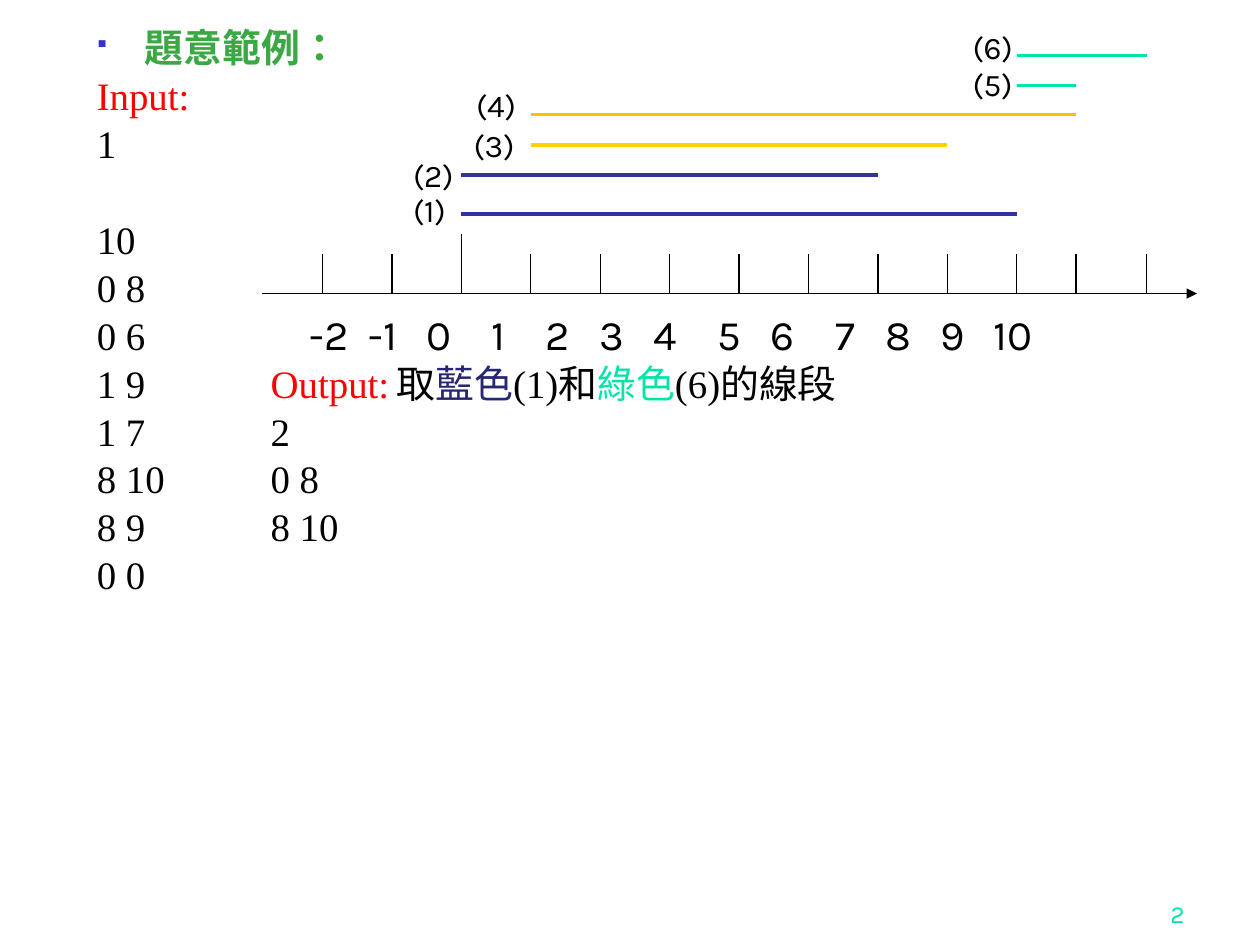
import pptx
import pptx.util
import pptx.dml.color
import pptx.enum.lang
import pptx.enum.shapes
import pptx.enum.text
import pptx.oxml
import pptx.oxml.ns

Inches = pptx.util.Inches
Pt = pptx.util.Pt
RGBColor = pptx.dml.color.RGBColor
PP_ALIGN = pptx.enum.text.PP_ALIGN
MSO_ANCHOR = pptx.enum.text.MSO_ANCHOR

BLACK = RGBColor(0x00, 0x00, 0x00)
RED = RGBColor(0xFF, 0x00, 0x00)
HEADING = RGBColor(0x3B, 0xA9, 0x43)
BULLET = RGBColor(0x33, 0x33, 0xCC)
NAVY = RGBColor(0x26, 0x26, 0x73)
BLUE = RGBColor(0x33, 0x33, 0x99)
MINT = RGBColor(0x00, 0xE4, 0xA8)
AMBER = RGBColor(0xFF, 0xC0, 0x00)
YELLOW = RGBColor(0xFF, 0xCF, 0x01)

NS = pptx.oxml.ns.nsdecls("a")
LINE_HEIGHT = 27.3


class Deck:
    body_font = "Times New Roman"
    label_font = "Karla"
    language = pptx.enum.lang.MSO_LANGUAGE_ID.TRADITIONAL_CHINESE

    def __init__(self, width, height):
        self.prs = pptx.Presentation()
        self.prs.slide_width = Inches(width)
        self.prs.slide_height = Inches(height)
        self.s = self.prs.slides.add_slide(self.prs.slide_layouts[6])

    def element(self, parent, xml):
        parent.append(pptx.oxml.parse_xml(xml.replace(" ", f" {NS} ", 1)))

    def tabs(self, p, stops):
        items = "".join(f'<a:tab pos="{Inches(x)}" algn="l"/>' for x in stops)
        self.element(p._p.get_or_add_pPr(), f"<a:tabLst >{items}</a:tabLst>")

    def bullet(self, p):
        pPr = p._p.get_or_add_pPr()
        self.element(pPr, f'<a:buClr ><a:srgbClr val="{BULLET}"/></a:buClr>')
        self.element(pPr, '<a:buSzPct val="60000"/>')
        self.element(pPr, '<a:buFont typeface="Wingdings" charset="2"/>')
        self.element(pPr, '<a:buChar char="§"/>')

    def style(self, r, font, size, color, bold=False):
        r.font.name = font
        r.font.size = Pt(size)
        r.font.bold = bold
        r.font.color.rgb = color

    def box(self, x, y, w, h):
        sp = self.s.shapes.add_textbox(Inches(x), Inches(y), Inches(w), Inches(h))
        sp.text_frame.word_wrap = True
        return sp.text_frame

    def label(self, text, x, y, w, h, size, color=BLACK, stops=()):
        tf = self.box(x, y, w, h)
        p = tf.paragraphs[0]
        p.text = text
        if stops:
            self.tabs(p, stops)
        self.style(p.runs[0], self.label_font, size, color)
        return tf

    def page_number(self, text, x, y, w, h):
        tf = self.label(text, x, y, w, h, 14, MINT)
        tf.vertical_anchor = MSO_ANCHOR.BOTTOM
        tf.paragraphs[0].alignment = PP_ALIGN.RIGHT

    def body(self, rows, x, y, w, h):
        tf = self.box(x, y, w, h)
        for i, (before, runs) in enumerate(rows):
            p = tf.paragraphs[0] if i == 0 else tf.add_paragraph()
            pPr = p._p.get_or_add_pPr()
            pPr.set("marL", str(Inches(0.38)))
            pPr.set("indent", str(-Inches(0.38)))
            if i == 0:
                self.bullet(p)
            else:
                p.space_before = Pt(before)
            self.tabs(p, range(8))
            p.line_spacing = 0.8
            for text, color in runs:
                r = p.add_run()
                r.text = text
                self.style(r, self.body_font, 22.2, color, bold=i == 0)
                r.font.language_id = self.language

    def line(self, x1, y1, x2, y2, color=BLACK, width=0.75, arrow=False):
        c = self.s.shapes.add_connector(
            pptx.enum.shapes.MSO_CONNECTOR.STRAIGHT,
            Inches(x1), Inches(y1), Inches(x2), Inches(y2))
        c.line.color.rgb = color
        c.line.width = Pt(width)
        if arrow:
            self.element(c.line._get_or_add_ln(), '<a:tailEnd type="triangle"/>')
        self.element(c._element.spPr, "<a:effectLst />")


def main():
    deck = Deck(10, 7.5)

    gap = 6.1
    output = [("1 9\t\t", BLACK), ("Output:\t", RED), ("取", BLACK), ("藍色", NAVY),
              ("(1)和", BLACK), ("綠色", MINT), ("(6)的線段", BLACK)]
    rows = [
        (0, [("題意範例：", HEADING)]),
        (gap, [("Input:", RED)]),
        (gap, [("1", BLACK)]),
        (gap + LINE_HEIGHT, [("10", BLACK)]),
        (gap, [("0 8", BLACK)]),
        (gap, [("0 6", BLACK)]),
        (gap, output),
    ]
    rows += [(gap, [(text, BLACK)])
             for text in ("1 7\t\t2", "8 10\t\t0 8", "8 9\t\t8 10", "0 0")]
    deck.body(rows, 0.67, 0.21, 8.66, 6.73)
    deck.page_number("2", 7.42, 6.92, 2.08, 0.5)

    axis_y = 2.33
    ticks = [2.56 + 5.51 * i / 10 for i in range(11)] + [8.54, 9.1]
    origin = 2
    deck.line(2.08, axis_y, 9.25, axis_y)
    for i, x in enumerate(ticks):
        deck.line(x, 1.86 if i == origin else 2.02, x, axis_y)
    deck.line(9.25, axis_y, 9.5, axis_y, arrow=True)

    stops = [0.47, 0.93, 1.44, 1.87, 2.3, 2.73, 3.24, 3.66, 4.17, 4.57, 5.01, 5.43]
    numbers = "\t".join(str(n) for n in range(-2, 11))
    deck.label(numbers, 2.36, 2.4, 7.14, 0.5, 24, stops=stops)

    segments = [
        ("(1)", 0, 8, 1.7, BLUE, 3.18, 1.47),
        ("(2)", 0, 6, 1.39, BLUE, 3.18, 1.19),
        ("(3)", 1, 7, 1.15, YELLOW, 3.66, 0.95),
        ("(4)", 1, 9, 0.91, AMBER, 3.68, 0.63),
        ("(5)", 8, 9, 0.68, MINT, 7.62, 0.47),
        ("(6)", 8, 10, 0.44, MINT, 7.62, 0.17),
    ]
    for name, start, end, y, color, label_x, label_y in segments:
        deck.line(ticks[origin + start], y, ticks[origin + end], y, color, 2)
        deck.label(name, label_x, label_y, 0.62, 0.4, 18)

    deck.prs.save("out.pptx")


if __name__ == "__main__":
    main()
